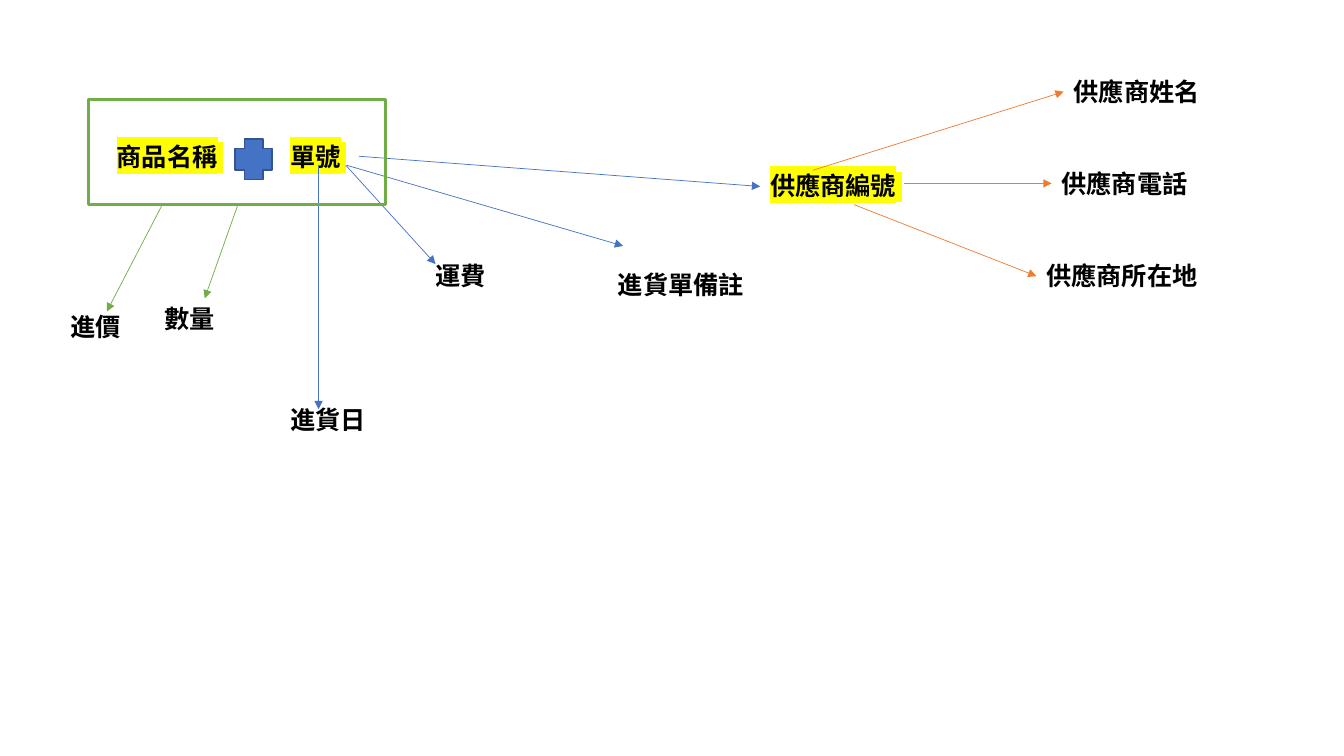
from lxml.etree import SubElement
from pptx import Presentation
from pptx.dml.color import RGBColor
from pptx.enum.shapes import MSO_CONNECTOR, MSO_SHAPE
from pptx.enum.text import MSO_AUTO_SIZE
from pptx.oxml.ns import qn
from pptx.util import Emu, Pt

PX = 9144  # 100 px to the inch
COLORS = {
    "text": "000000", "key": "FFFF00", "blue": "4472C4",
    "navy": "325491", "orange": "ED7D31", "green": "70AD47",
}
CJK_FONT, LATIN_FONT = "Noto Sans CJK SC", "Calibri"

# (text, left, top, width)
KEYS = [
    ("單號", 278, 135, 156),
    ("供應商編號", 754, 164, 249),
    ("商品名稱", 106, 135, 146),
]
FIELDS = [
    ("進貨日", 278, 396, 193),
    ("運費", 422, 253, 123),
    ("供應商姓名", 1055, 71, 279),
    ("供應商電話", 1043, 162, 234),
    ("供應商所在地", 1028, 253, 294),
    ("進價", 60, 304, 122),
    ("數量", 153, 296, 127),
    ("進貨單備註", 603, 262, 211),
]
# color: (x1, y1, x2, y2)
ARROWS = {
    "blue": [(316, 164, 316, 406), (343, 164, 432, 262),
             (356, 155, 754, 185), (344, 164, 618, 244)],
    "orange": [(806, 169, 1055, 91), (847, 203, 1028, 274),
               (897, 182, 1043, 182)],
    "green": [(161, 203, 106, 309), (236, 203, 203, 296)],
}


def px(*values):
    return [Emu(v * PX) for v in values]


def rgb(name):
    return RGBColor.from_string(COLORS[name])


def add_run(p, text, font, bold, key):
    r = p.add_run()
    r.text = text
    r.font.bold = bold
    rPr = r.font._element
    if key:
        highlight = SubElement(rPr, qn("a:highlight"))
        SubElement(highlight, qn("a:srgbClr"), val=COLORS["key"])
    for tag in ("a:latin", "a:ea"):
        SubElement(rPr, qn(tag), typeface=font)


def add_label(s, text, left, top, width, key=False):
    tf = s.shapes.add_textbox(*px(left, top, width, 40)).text_frame
    tf.word_wrap = True
    tf.auto_size = MSO_AUTO_SIZE.SHAPE_TO_FIT_TEXT
    p = tf.paragraphs[0]
    p.font.size = Pt(18)
    p.font.color.rgb = rgb("text")
    add_run(p, text, CJK_FONT, True, key)
    if key:
        add_run(p, " ", LATIN_FONT, False, key)


def add_arrow(s, color, ends):
    sp = s.shapes.add_connector(MSO_CONNECTOR.STRAIGHT, *px(*ends))
    sp.line.color.rgb = rgb(color)
    sp.line.width = Pt(0.5)
    SubElement(sp.line._get_or_add_ln(), qn("a:tailEnd"), type="triangle")
    SubElement(sp._element.spPr, qn("a:effectLst"))


def add_box(s, kind, box, line, width, fill=None):
    sp = s.shapes.add_shape(kind, *px(*box))
    sp.shadow.inherit = False
    sp.line.color.rgb = rgb(line)
    sp.line.width = Pt(width)
    if fill:
        sp.fill.solid()
        sp.fill.fore_color.rgb = rgb(fill)
    else:
        sp.fill.background()


def main():
    prs = Presentation()
    prs.slide_width, prs.slide_height = px(1333, 750)
    s = prs.slides.add_slide(prs.slide_layouts[6])

    # Key attributes and the fields that depend on them
    for label in KEYS:
        add_label(s, *label, key=True)
    for label in FIELDS:
        add_label(s, *label)

    # Dependency arrows
    for color, arrows in ARROWS.items():
        for ends in arrows:
            add_arrow(s, color, ends)

    # Frame and plus sign of the composite key
    add_box(s, MSO_SHAPE.RECTANGLE, (88, 99, 294, 104), "green", 2.25)
    add_box(s, MSO_SHAPE.CROSS, (233, 138, 37, 40), "navy", 1, "blue")

    prs.save("out.pptx")


if __name__ == "__main__":
    main()
